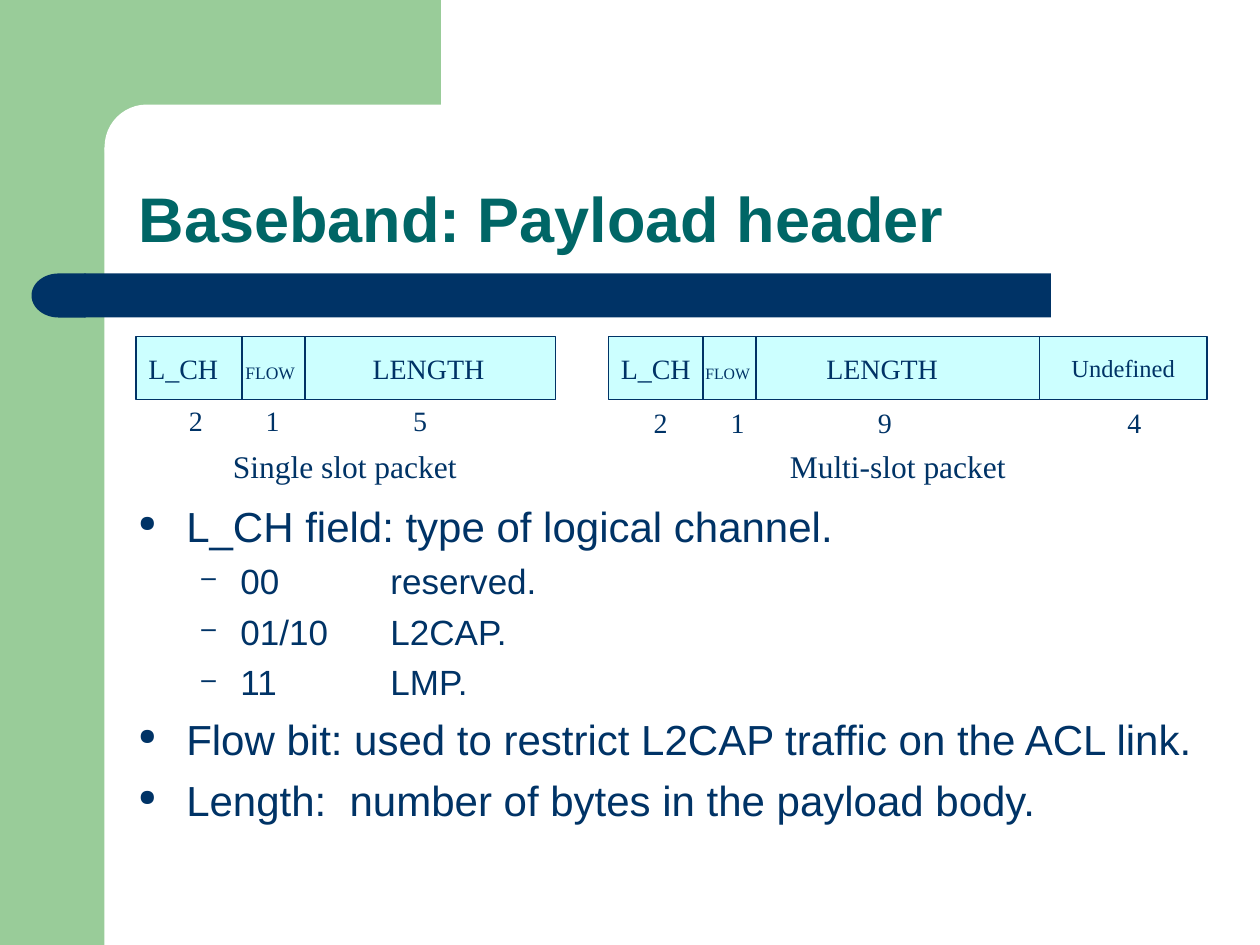
from pptx import Presentation
from pptx.dml.color import RGBColor
from pptx.enum.shapes import MSO_CONNECTOR, MSO_SHAPE
from pptx.enum.text import MSO_ANCHOR, MSO_AUTO_SIZE, PP_ALIGN
from pptx.oxml.xmlchemy import OxmlElement
from pptx.util import Inches, Pt

THEME = {
    "green": RGBColor(0x99, 0xCC, 0x99),
    "white": RGBColor(0xFF, 0xFF, 0xFF),
    "navy": RGBColor(0x00, 0x33, 0x66),
    "teal": RGBColor(0x00, 0x66, 0x66),
    "cyan": RGBColor(0xCC, 0xFF, 0xFF),
    "sans": "Arial",
    "serif": "Times New Roman",
    "title": 36,
    "field": 16,
    "undefined": 14,
    "caption": 18,
    "line": 0.75,
}

TITLE = "Baseband: Payload header"
BULLETS = [
    (0, "L_CH field: type of logical channel."),
    (1, "00\treserved."),
    (1, "01/10\tL2CAP."),
    (1, "11\tLMP."),
    (0, "Flow bit: used to restrict L2CAP traffic on the ACL link."),
    (0, "Length:  number of bytes in the payload body."),
]
# Per level: text indent, hanging indent, space before, size, bullet, bullet %
LEVELS = [(0.38, 0.38, 6, 24, "●", 54), (0.81, 0.31, 5, 20, "–", 75)]
VALUE_TAB = 2

FIELD_NAMES = ["L_CH", "FLOW", "LENGTH"]
PACKETS = [
    {"left": 1.08, "width": 3.33, "dividers": [1.92, 2.42],
     "name_tabs": [0.77, 1.78], "flow_size": 10,
     "bits": ["2", "1", "5"], "bits_at": (1.4, 3.15, 2.25, 0.37),
     "caption": "Single slot packet", "caption_at": (1.75, 3.5, 2.1, 0.4)},
    {"left": 4.83, "width": 3.5, "dividers": [5.58, 6],
     "name_tabs": [0.67, 1.63], "flow_size": 9,
     "bits": ["2", "1", "9", "4"], "bits_at": (5.09, 3.17, 4.2, 0.37),
     "caption": "Multi-slot packet", "caption_at": (6.17, 3.5, 2.1, 0.4)},
]
BIT_TABS = [0.61, 1.78, 3.76]
FIELD_TOP, FIELD_HEIGHT = 2.67, 0.5
UNDEFINED_AT = (8.25, FIELD_TOP, 1.33, FIELD_HEIGHT)


def box(at):
    return [Inches(length) for length in at]


def add_block(shapes, kind, at, fill, outlined=False):
    block = shapes.add_shape(kind, *box(at))
    block.shadow.inherit = False
    block.fill.solid()
    block.fill.fore_color.rgb = THEME[fill]
    if outlined:
        block.line.color.rgb = THEME["navy"]
        block.line.width = Pt(THEME["line"])
    else:
        block.line.fill.background()
    return block


def style(run, size, font="serif", color="navy"):
    run.font.size = Pt(size)
    run.font.name = THEME[font]
    run.font.color.rgb = THEME[color]


def set_tabs(paragraph, stops):
    tab_list = OxmlElement("a:tabLst")
    for stop in stops:
        tab = OxmlElement("a:tab")
        tab.set("pos", str(Inches(stop)))
        tab.set("algn", "l")
        tab_list.append(tab)
    paragraph._p.get_or_add_pPr().append(tab_list)


def set_bullet(paragraph, character, percent, indent, hanging):
    properties = paragraph._p.get_or_add_pPr()
    properties.set("marL", str(Inches(indent)))
    properties.set("indent", str(-Inches(hanging)))
    color = OxmlElement("a:buClr")
    rgb = OxmlElement("a:srgbClr")
    rgb.set("val", str(THEME["navy"]))
    color.append(rgb)
    size = OxmlElement("a:buSzPct")
    size.set("val", str(percent * 1000))
    bullet = OxmlElement("a:buChar")
    bullet.set("char", character)
    properties.extend([color, size, bullet])


def add_label(shapes, at, text, size, tabs=()):
    label = shapes.add_textbox(*box(at))
    frame = label.text_frame
    frame.word_wrap = True
    frame.text = text
    style(frame.paragraphs[0].runs[0], size)
    if tabs:
        set_tabs(frame.paragraphs[0], tabs)


def add_background(shapes):
    """Draw the green frame and the title bar; return the topmost part."""
    add_block(shapes, MSO_SHAPE.RECTANGLE, (0, 0, 0.83, 7.5), "green")
    add_block(shapes, MSO_SHAPE.RECTANGLE, (0.75, 0, 2.75, 1.17), "green")
    page = add_block(shapes, MSO_SHAPE.ROUNDED_RECTANGLE,
                     (0.83, 0.83, 5.58, 0.67), "white")
    page.adjustments[0] = 0.5
    add_block(shapes, MSO_SHAPE.RECTANGLE, (0.67, 2.17, 7.67, 0.35), "navy")
    bar_end = add_block(shapes, MSO_SHAPE.FLOWCHART_DELAY,
                        (0.25, 2.17, 0.43, 0.35), "navy")
    bar_end.rotation = 180
    return bar_end


def format_title(title):
    title.left, title.top, title.width, title.height = box((1, 0.83, 8.75, 1.25))
    frame = title.text_frame
    frame.text = TITLE
    frame.vertical_anchor = MSO_ANCHOR.BOTTOM
    frame.auto_size = MSO_AUTO_SIZE.NONE
    heading = frame.paragraphs[0]
    heading.alignment = PP_ALIGN.LEFT
    heading.line_spacing = 0.9
    style(heading.runs[0], THEME["title"], "sans", "teal")
    heading.runs[0].font.bold = True


def add_bullets(shapes):
    frame = shapes.add_textbox(*box((1, 3.92, 8.75, 2.75))).text_frame
    frame.word_wrap = True
    for index, (level, text) in enumerate(BULLETS):
        indent, hanging, before, size, character, percent = LEVELS[level]
        paragraph = frame.add_paragraph() if index else frame.paragraphs[0]
        paragraph.text = text
        paragraph.level = level
        paragraph.space_before = Pt(before)
        set_bullet(paragraph, character, percent, indent, hanging)
        set_tabs(paragraph, [VALUE_TAB])
        for run in paragraph.runs:
            style(run, size, "sans")


def add_packet(shapes, packet):
    header = add_block(shapes, MSO_SHAPE.RECTANGLE,
                       (packet["left"], FIELD_TOP, packet["width"], FIELD_HEIGHT),
                       "cyan", outlined=True)
    header.text_frame.vertical_anchor = MSO_ANCHOR.MIDDLE
    names = header.text_frame.paragraphs[0]
    names.alignment = PP_ALIGN.LEFT
    set_tabs(names, packet["name_tabs"])
    for index, name in enumerate(FIELD_NAMES):
        run = names.add_run()
        run.text = f"\t{name}" if index else name
        style(run, packet["flow_size"] if name == "FLOW" else THEME["field"])

    for x in packet["dividers"]:
        divider = shapes.add_connector(
            MSO_CONNECTOR.STRAIGHT,
            *box((x, FIELD_TOP, x, FIELD_TOP + FIELD_HEIGHT)))
        divider.line.color.rgb = THEME["navy"]
        divider.line.width = Pt(THEME["line"])
        divider.element.spPr.append(OxmlElement("a:effectLst"))

    add_label(shapes, packet["bits_at"], "\t".join(packet["bits"]),
              THEME["field"], BIT_TABS)
    add_label(shapes, packet["caption_at"], packet["caption"], THEME["caption"])


def main():
    deck = Presentation()
    deck.slide_width, deck.slide_height = Inches(10), Inches(7.5)
    slide = deck.slides.add_slide(deck.slide_layouts[5])
    shapes = slide.shapes
    title = shapes.title
    add_background(shapes).element.addnext(title.element)
    format_title(title)
    add_bullets(shapes)
    for packet in PACKETS:
        add_packet(shapes, packet)
    undefined = add_block(shapes, MSO_SHAPE.RECTANGLE, UNDEFINED_AT, "cyan",
                          outlined=True)
    undefined.text_frame.text = "Undefined"
    undefined.text_frame.vertical_anchor = MSO_ANCHOR.MIDDLE
    undefined.text_frame.paragraphs[0].alignment = PP_ALIGN.CENTER
    style(undefined.text_frame.paragraphs[0].runs[0], THEME["undefined"])
    deck.save("out.pptx")


if __name__ == "__main__":
    main()
